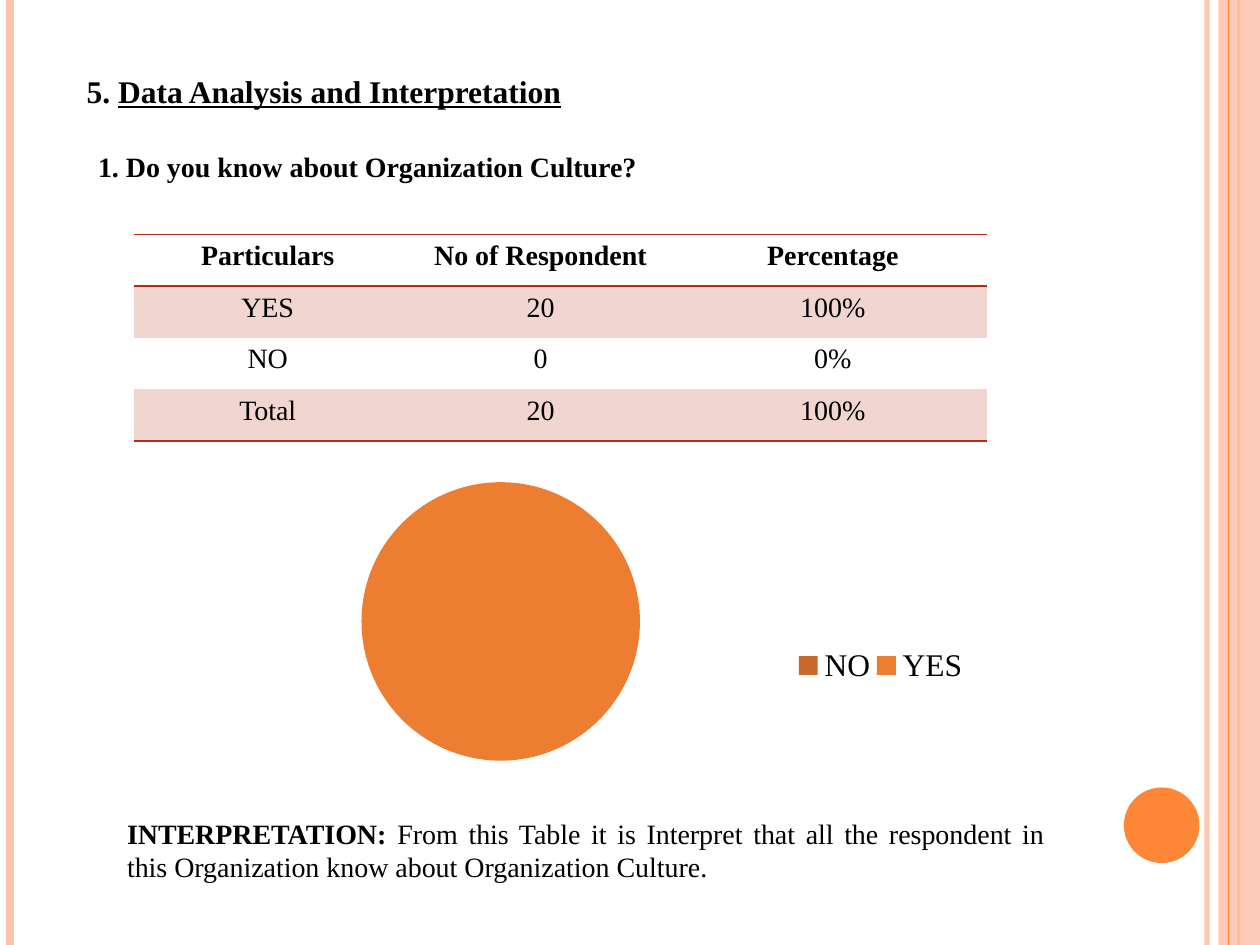
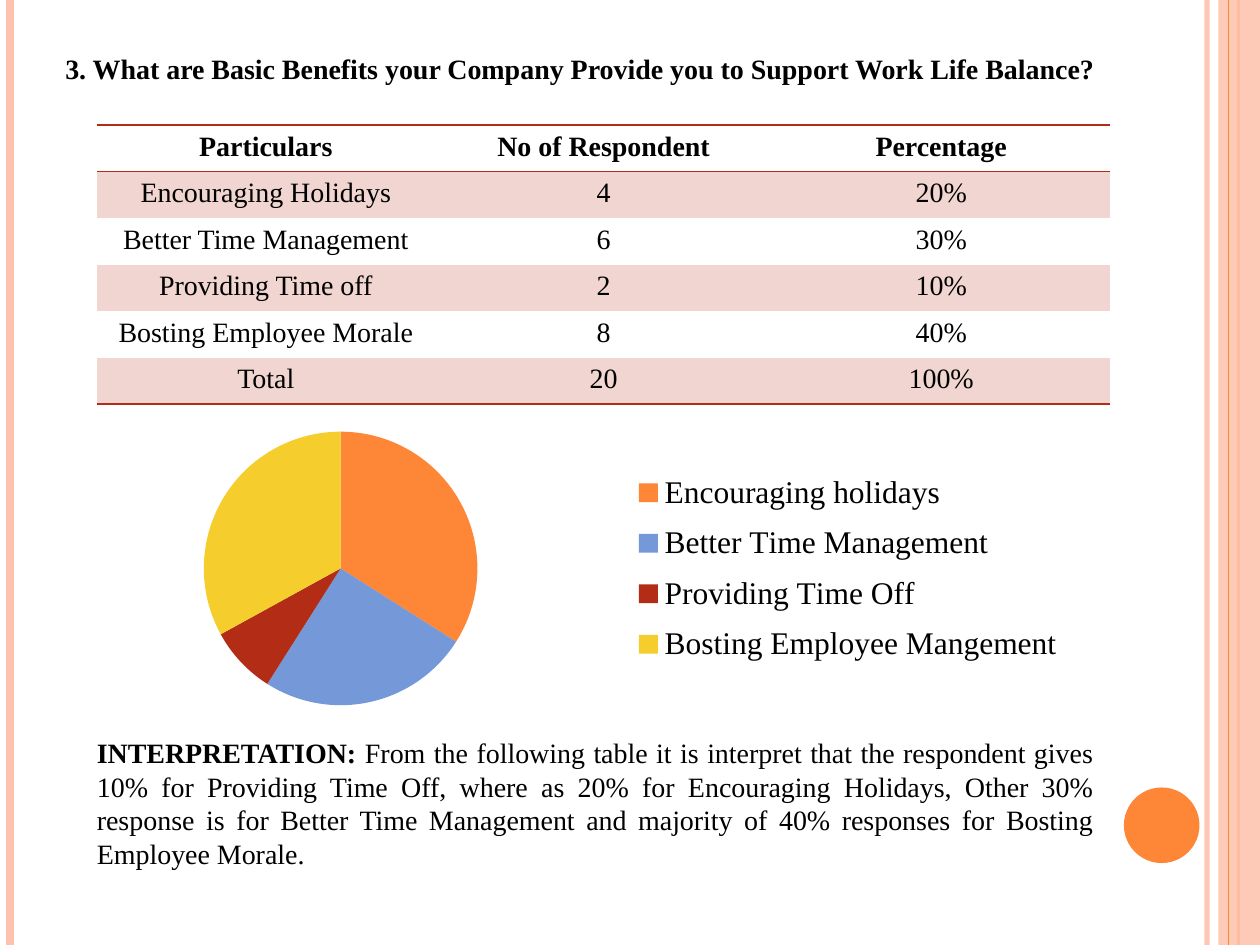
from dataclasses import dataclass

from lxml.etree import SubElement
from pptx import Presentation
from pptx.chart.data import CategoryChartData
from pptx.dml.color import RGBColor
from pptx.enum.chart import XL_CHART_TYPE, XL_LEGEND_POSITION
from pptx.enum.shapes import MSO_CONNECTOR, MSO_SHAPE
from pptx.enum.text import PP_ALIGN
from pptx.oxml import parse_xml
from pptx.oxml.ns import nsdecls, qn
from pptx.util import Inches, Pt

FONT = "Times New Roman"
BLACK = RGBColor(0x00, 0x00, 0x00)
PEACH = RGBColor(0xFE, 0xC3, 0xAE)
ORANGE = RGBColor(0xFE, 0x86, 0x37)
BLUE = RGBColor(0x75, 0x98, 0xD9)
RED = RGBColor(0xB3, 0x2C, 0x16)
YELLOW = RGBColor(0xF5, 0xCD, 0x2D)
BROWN = RGBColor(0xC9, 0x6A, 0x2C)
AMBER = RGBColor(0xED, 0x7D, 0x31)
ROW_TINT = RGBColor(0xF0, 0xD5, 0xD0)
PAGE_WIDTH, PAGE_HEIGHT = 10, 7.5
NO_TABLE_STYLE = "{2D5ABB26-0587-4C30-8999-92F81FD0307C}"
HEADERS = ("Particulars", "No of Respondent", "Percentage")


@dataclass(frozen=True)
class Area:
    left: float
    top: float
    width: float
    height: float

    def lengths(self) -> tuple:
        return tuple(map(Inches, (self.left, self.top, self.width, self.height)))


@dataclass(frozen=True)
class Rule:
    x: float
    color: RGBColor
    weight: float
    opacity: int = 100


@dataclass(frozen=True)
class Span:
    text: str
    bold: bool = True
    underline: bool = False


@dataclass(frozen=True)
class TextBlock:
    area: Area
    spans: tuple
    size: int = 16
    align: PP_ALIGN = PP_ALIGN.LEFT


@dataclass(frozen=True)
class ResponseTable:
    left: float
    top: float
    columns: tuple
    row_height: float
    rows: tuple


@dataclass(frozen=True)
class ResponsePie:
    area: Area
    slices: dict
    colors: tuple
    plot: Area
    legend: Area


@dataclass(frozen=True)
class SurveyPage:
    texts: tuple
    table: ResponseTable
    pie: ResponsePie


RULES_BELOW = (
    Rule(9.58, PEACH, 3, 93),
    Rule(0.08, PEACH, 4.5),
    Rule(9.83, ORANGE, 1.5),
)
RULE_ABOVE = Rule(9.75, ORANGE, 0.75)


def set_opacity(element, percent: int) -> None:
    color = element.find(".//" + qn("a:srgbClr"))
    SubElement(color, qn("a:alpha"), val=str(percent * 1000))


def draw_rule(page, rule: Rule) -> None:
    line = page.shapes.add_connector(
        MSO_CONNECTOR.STRAIGHT,
        Inches(rule.x), Inches(0), Inches(rule.x), Inches(PAGE_HEIGHT),
    )
    line.line.color.rgb = rule.color
    line.line.width = Pt(rule.weight)
    set_opacity(line.element.spPr, rule.opacity)
    SubElement(line.element.spPr, qn("a:effectLst"))


def draw_shape(page, kind: MSO_SHAPE, area: Area, color: RGBColor, opacity: int = 100) -> None:
    shape = page.shapes.add_shape(kind, *area.lengths())
    shape.shadow.inherit = False
    shape.fill.solid()
    shape.fill.fore_color.rgb = color
    shape.line.fill.background()
    set_opacity(shape.element.spPr, opacity)


def draw_frame(page) -> None:
    for rule in RULES_BELOW:
        draw_rule(page, rule)
    draw_shape(page, MSO_SHAPE.RECTANGLE, Area(9.67, 0, 0.33, PAGE_HEIGHT), PEACH, 87)
    draw_rule(page, RULE_ABOVE)
    draw_shape(page, MSO_SHAPE.OVAL, Area(8.92, 6.25, 0.6, 0.6), ORANGE)


def style_font(font, size: int) -> None:
    font.name = FONT
    font.size = Pt(size)
    font.color.rgb = BLACK


def draw_text(page, block: TextBlock) -> None:
    box = page.shapes.add_textbox(*block.area.lengths())
    box.text_frame.word_wrap = True
    para = box.text_frame.paragraphs[0]
    para.alignment = block.align
    style_font(para.font, block.size)
    for span in block.spans:
        run = para.add_run()
        run.text = span.text
        run.font.bold = span.bold
        run.font.underline = span.underline


def add_border(cell, side: str) -> None:
    border = parse_xml(
        f'<a:{side} {nsdecls("a")} w="12700"><a:solidFill>'
        f'<a:srgbClr val="{RED}"/></a:solidFill></a:{side}>'
    )
    properties = cell._tc.get_or_add_tcPr()
    properties.insert(len(properties.findall(qn("a:lnT"))), border)


def draw_table(page, table: ResponseTable) -> None:
    area = Area(table.left, table.top, sum(table.columns), table.row_height * len(table.rows))
    grid = page.shapes.add_table(len(table.rows), len(table.columns), *area.lengths()).table
    grid.first_row = grid.horz_banding = False
    grid._tbl.tblPr.find(qn("a:tableStyleId")).text = NO_TABLE_STYLE
    for column, width in zip(grid.columns, table.columns):
        column.width = Inches(width)
    for row_index, values in enumerate(table.rows):
        grid.rows[row_index].height = Inches(table.row_height)
        for column_index, value in enumerate(values):
            cell = grid.cell(row_index, column_index)
            cell.text = value
            para = cell.text_frame.paragraphs[0]
            para.alignment = PP_ALIGN.CENTER
            style_font(para.font, 16)
            para.font.bold = row_index == 0
            if row_index % 2:
                cell.fill.solid()
                cell.fill.fore_color.rgb = ROW_TINT
            else:
                cell.fill.background()
            if row_index == 0:
                add_border(cell, "lnT")
            if row_index in (0, len(table.rows) - 1):
                add_border(cell, "lnB")


def manual_layout(area: Area, target: str = ""):
    return parse_xml(
        f'<c:layout {nsdecls("c")}><c:manualLayout>{target}'
        '<c:xMode val="edge"/><c:yMode val="edge"/>'
        f'<c:x val="{area.left}"/><c:y val="{area.top}"/>'
        f'<c:w val="{area.width}"/><c:h val="{area.height}"/>'
        "</c:manualLayout></c:layout>"
    )


def draw_pie(page, pie: ResponsePie) -> None:
    data = CategoryChartData()
    data.categories = list(pie.slices)
    data.add_series("Series 1", list(pie.slices.values()))
    chart = page.shapes.add_chart(XL_CHART_TYPE.PIE, *pie.area.lengths(), data).chart
    chart.has_title = False
    style_font(chart.font, 18)
    chart.has_legend = True
    chart.legend.position = XL_LEGEND_POSITION.RIGHT
    chart.legend.include_in_layout = False
    plot = chart.plots[0]
    plot.vary_by_categories = True
    for index, color in enumerate(pie.colors):
        fill = plot.series[0].points[index].format.fill
        fill.solid()
        fill.fore_color.rgb = color
    plot_area = chart.element.find(".//" + qn("c:plotArea"))
    for layout in plot_area.findall(qn("c:layout")):
        plot_area.remove(layout)
    plot_area.insert(0, manual_layout(pie.plot, '<c:layoutTarget val="inner"/>'))
    chart.element.find(".//" + qn("c:legendPos")).addnext(manual_layout(pie.legend))


def interpretation(area: Area, text: str) -> TextBlock:
    spans = (Span("INTERPRETATION:"), Span(" " + text, bold=False))
    return TextBlock(area, spans, align=PP_ALIGN.JUSTIFY)


PAGES = (
    SurveyPage(
        texts=(
            TextBlock(
                Area(0.59, 0.52, 7.8, 0.4),
                (Span("5. "), Span("Data Analysis and Interpretation", underline=True)),
                size=18,
            ),
            TextBlock(
                Area(0.68, 1.14, 8.27, 0.37),
                (Span("1. Do you know about Organization Culture?"),),
            ),
            interpretation(
                Area(0.91, 6.43, 7.48, 0.64),
                "From this Table it is Interpret that all the respondent in this "
                "Organization know about Organization Culture.",
            ),
        ),
        table=ResponseTable(
            1.06, 1.86, (2.13, 2.2, 2.44), 0.41,
            (HEADERS, ("YES", "20", "100%"), ("NO", "0", "0%"), ("Total", "20", "100%")),
        ),
        pie=ResponsePie(
            Area(1.06, 3.67, 6.7, 2.5),
            {"NO": 0, "YES": 100},
            (BROWN, AMBER),
            plot=Area(0.27, 0.06, 0.33, 0.89),
            legend=Area(0.78, 0.57, 0.21, 0.15),
        ),
    ),
    SurveyPage(
        texts=(
            TextBlock(
                Area(0.42, 0.36, 8.74, 0.37),
                (Span("3. What are Basic Benefits your Company Provide you to "
                      "Support Work Life Balance?"),),
            ),
            interpretation(
                Area(0.67, 5.79, 8.11, 1.18),
                "From the following table it is interpret that the respondent gives 10% for "
                "Providing Time Off, where as 20% for Encouraging Holidays, Other 30% response "
                "is for Better Time Management and majority of 40% responses for Bosting "
                "Employee Morale.",
            ),
        ),
        table=ResponseTable(
            0.77, 0.99, (2.68, 2.68, 2.68), 0.37,
            (
                HEADERS,
                ("Encouraging Holidays", "4", "20%"),
                ("Better Time Management", "6", "30%"),
                ("Providing Time off", "2", "10%"),
                ("Bosting Employee Morale", "8", "40%"),
                ("Total", "20", "100%"),
            ),
        ),
        pie=ResponsePie(
            Area(0.49, 3.28, 8.05, 2.44),
            {
                "Encouraging holidays": 34,
                "Better Time Management": 25,
                "Providing Time Off": 8,
                "Bosting Employee Mangement": 33,
            },
            (ORANGE, BLUE, RED, YELLOW),
            plot=Area(0.14, 0.06, 0.27, 0.89),
            legend=Area(0.56, 0.15, 0.43, 0.71),
        ),
    ),
)


def main() -> None:
    deck = Presentation()
    deck.slide_width, deck.slide_height = Inches(PAGE_WIDTH), Inches(PAGE_HEIGHT)
    for survey in PAGES:
        page = deck.slides.add_slide(deck.slide_layouts[6])
        draw_frame(page)
        for block in survey.texts:
            draw_text(page, block)
        draw_table(page, survey.table)
        draw_pie(page, survey.pie)
    deck.save("out.pptx")


if __name__ == "__main__":
    main()
